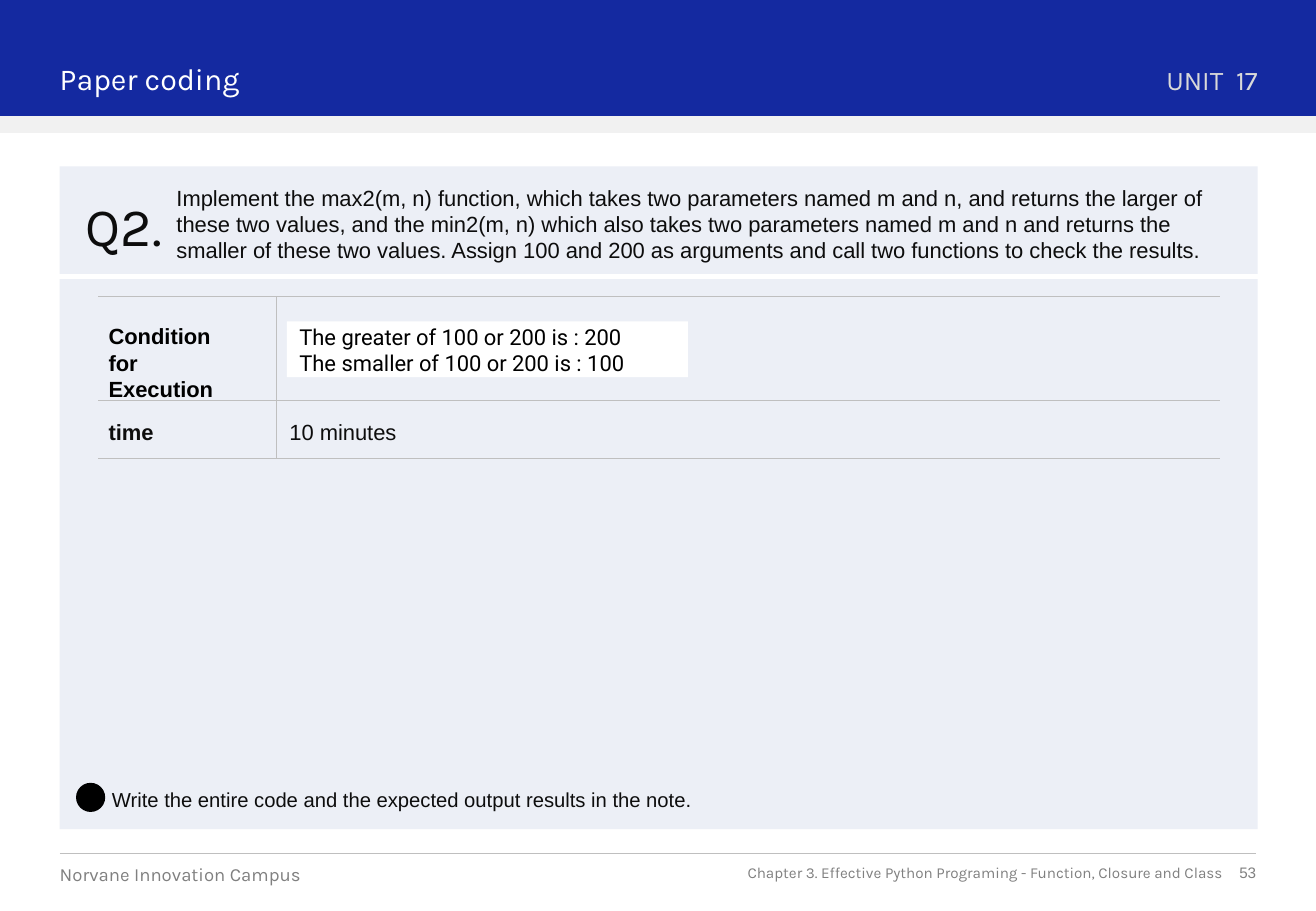
import pptx
import pptx.util
import pptx.dml.color
import pptx.enum.shapes
import pptx.enum.text
import pptx.oxml.ns
import lxml.etree

Cm, Pt = pptx.util.Cm, pptx.util.Pt
SHAPE = pptx.enum.shapes.MSO_SHAPE
ALIGN = pptx.enum.text.PP_ALIGN
ANCHOR = pptx.enum.text.MSO_ANCHOR


def rgb(value):
    return pptx.dml.color.RGBColor.from_string(value)


def write(sp, lines, color, fmt, align=ALIGN.LEFT, anchor=ANCHOR.TOP, left=0, top=0):
    tf = sp.text_frame
    frame = {"word_wrap": True, "vertical_anchor": anchor, "margin_left": Cm(left),
             "margin_top": Cm(top), "margin_right": 0, "margin_bottom": 0}
    for name, value in frame.items():
        setattr(tf, name, value)
    for i, line in enumerate(lines):
        p = tf.paragraphs[0] if i == 0 else tf.add_paragraph()
        p.alignment = align
        r = p.add_run()
        r.text = line
        for name, value in fmt.items():
            setattr(r.font, name, value)
        r.font.color.rgb = rgb(color)


prs = pptx.Presentation()
prs.slide_width, prs.slide_height = Cm(27.51), Cm(19.05)
s = prs.slides.add_slide(prs.slide_layouts[6])

LEFT, PANEL_W = 1.25, 25.04
INK, GRAY, PANEL = "0D0D0D", "808080", "ECEFF6"
body = {"name": "Arial", "size": Pt(13)}
label = {**body, "bold": True}

for kind, x, y, w, h, color in [
    (SHAPE.RECTANGLE, 0, 0, 27.51, 2.43, "1429A0"),
    (SHAPE.RECTANGLE, 0, 2.43, 27.51, 0.35, "F1F1F1"),
    (SHAPE.RECTANGLE, LEFT, 3.48, PANEL_W, 2.25, PANEL),
    (SHAPE.RECTANGLE, LEFT, 5.84, PANEL_W, 11.5, PANEL),
    (SHAPE.OVAL, 1.59, 16.37, 0.61, 0.61, "000000"),
    (SHAPE.RECTANGLE, 6, 6.72, 8.38, 1.17, "FFFFFF"),
]:
    sp = s.shapes.add_shape(kind, Cm(x), Cm(y), Cm(w), Cm(h))
    sp.shadow.inherit = False
    sp.fill.solid()
    sp.fill.fore_color.rgb = rgb(color)
    sp.line.fill.background()

write(sp, ["The greater of 100 or 200 is : 200", "The smaller of 100 or 200 is : 100"],
      "000000", {"name": "Roboto", "size": Pt(13)}, anchor=ANCHOR.MIDDLE, left=0.26, top=0.02)

rules = [(2.05, y, 25.5, y) for y in (6.2, 8.38, 9.58)]
rules += [(5.78, 6.2, 5.78, 9.58), (LEFT, 17.85, 26.26, 17.85)]
for x1, y1, x2, y2 in rules:
    c = s.shapes.add_connector(pptx.enum.shapes.MSO_CONNECTOR.STRAIGHT,
                               Cm(x1), Cm(y1), Cm(x2), Cm(y2))
    c.line.color.rgb = rgb("BFBFBF")
    c.line.width = Pt(0.5)
    lxml.etree.SubElement(c.element.spPr, pptx.oxml.ns.qn("a:effectLst"))

question = (
    "Implement the max2(m, n) function, which takes two parameters named m and n, "
    "and returns the larger of these two values, and the min2(m, n) which also takes "
    "two parameters named m and n and returns the smaller of these two values. "
    "Assign 100 and 200 as arguments and call two functions to check the results."
)
chapter = "Chapter 3. Effective Python Programing - Function, Closure and Class"
right = {"align": ALIGN.RIGHT}
footer = {**right, "anchor": ANCHOR.MIDDLE}

for x, y, w, h, lines, color, fmt, layout in [
    (LEFT, 1.26, 15.34, 0.76, ["Paper coding"], "FFFFFF", {"name": "Karla", "size": Pt(18)}, {}),
    (24.08, 1.33, 2.21, 0.69, ["UNIT  17"], "D9D9D9", {"name": "Karla", "size": Pt(16)}, right),
    (1.79, 4.03, 1.8, 1.37, ["Q2."], INK, {"name": "Karla", "size": Pt(32)}, {}),
    (3.69, 3.85, 21.49, 1.68, [question], INK, body, {}),
    (2.27, 6.75, 2.77, 1.12, ["Condition for", "Execution"], "000000", label, {}),
    (2.27, 8.76, 2.77, 0.56, ["time"], INK, label, {}),
    (6.05, 8.55, 3.2, 0.97, ["10 minutes"], INK, body, {"top": 0.2}),
    (2.34, 16.46, 13.54, 0.51,
     ["Write the entire code and the expected output results in the note."],
     INK, {"name": "Arial", "size": Pt(12)}, {}),
    (LEFT, 18.04, 8.03, 0.48, ["Norvane Innovation Campus"], GRAY,
     {"name": "Karla", "size": Pt(11)}, {}),
    (12.9, 18.06, 12.65, 0.38, [chapter], GRAY, {"name": "Karla", "size": Pt(9)}, footer),
    (24.56, 18.06, 1.7, 0.38, ["53"], GRAY, {"name": "Arial", "size": Pt(9)}, footer),
]:
    sp = s.shapes.add_textbox(Cm(x), Cm(y), Cm(w), Cm(h))
    write(sp, lines, color, fmt, **layout)

prs.save("out.pptx")
